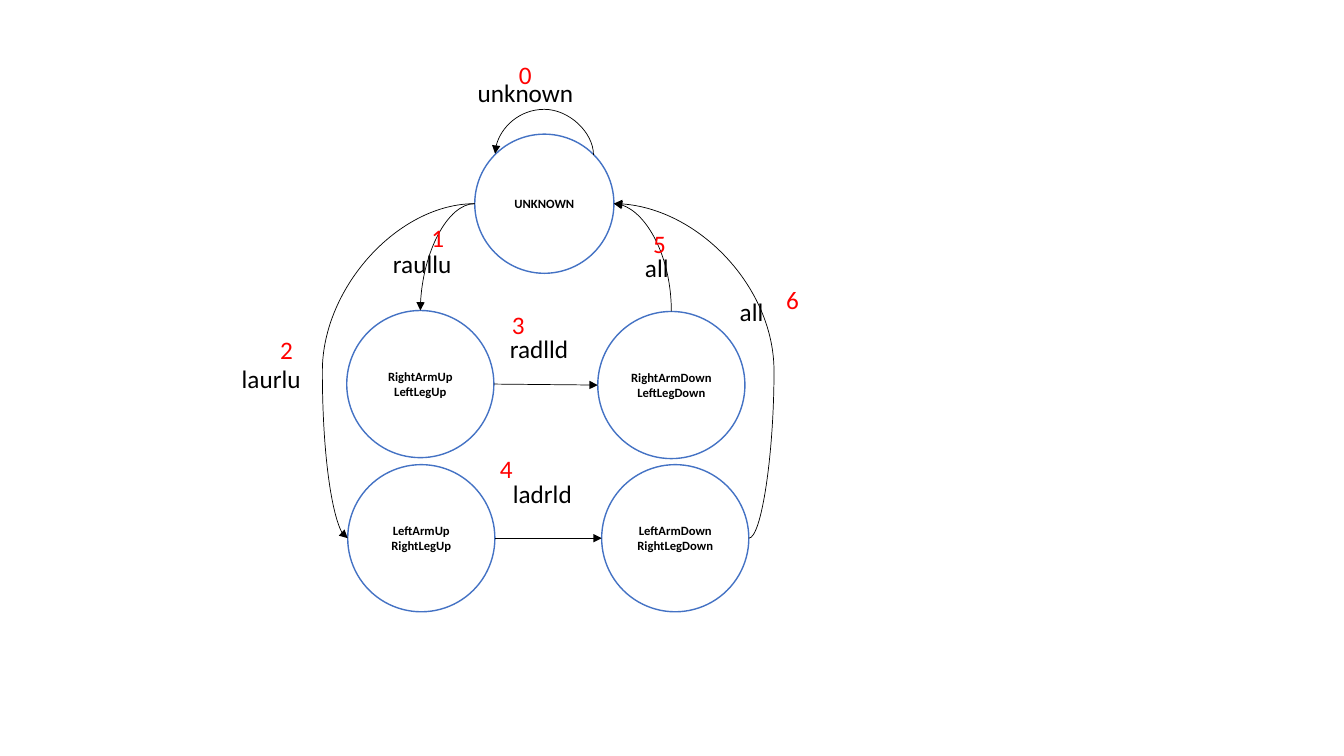
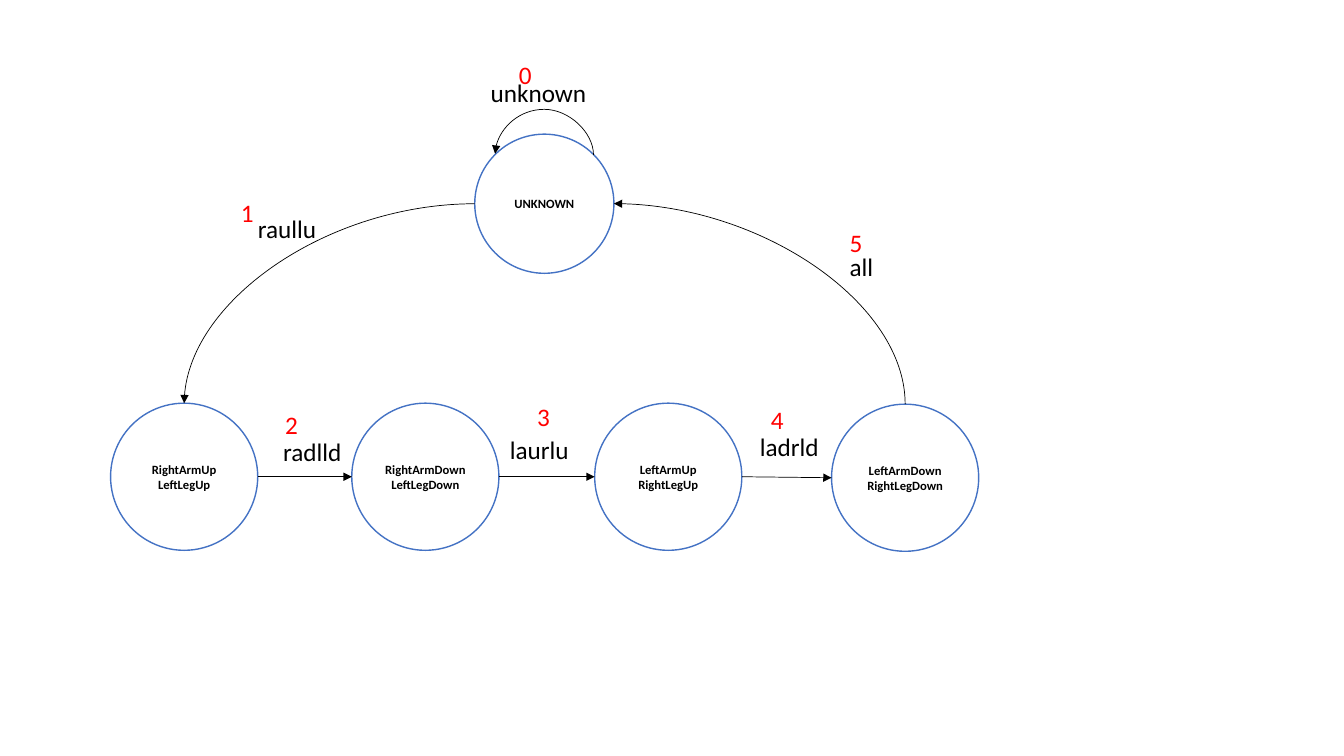
from math import cos, radians, sin

from lxml import etree
from pptx import Presentation
from pptx.dml.color import RGBColor
from pptx.enum.shapes import MSO_CONNECTOR, MSO_SHAPE
from pptx.enum.text import MSO_ANCHOR, MSO_AUTO_SIZE, PP_ALIGN
from pptx.oxml.ns import qn
from pptx.util import Pt

CIRCLE = MSO_SHAPE.FLOWCHART_CONNECTOR
STRAIGHT, CURVE = MSO_CONNECTOR.STRAIGHT, MSO_CONNECTOR.CURVE
MIDDLE, CENTER = MSO_ANCHOR.MIDDLE, PP_ALIGN.CENTER
GROW = MSO_AUTO_SIZE.SHAPE_TO_FIT_TEXT

WHITE, BLACK, RED, BLUE = "FFFFFF", "000000", "FF0000", "4472C4"
STATE_FONT = {"name": "Calibri", "size": Pt(9), "bold": True}
LABEL_FONT = {"name": "Calibri", "size": Pt(18)}
LABEL_HEIGHT, NUMBER_WIDTH = 28.8, 25.2
WORD_WIDTHS = {"unknown": 87.8, "raullu": 66.2, "radlld": 60.5,
               "laurlu": 62.6, "ladrld": 70.6, "all": 37.4}

TOP, TOP_LEFT, LEFT, RIGHT, TOP_RIGHT = 0, 1, 2, 6, 7
ORIENTATIONS = {
    LEFT: {"rot": "10800000", "flipV": "1"},
    RIGHT: {"flipH": "1", "flipV": "1"},
    TOP: {"rot": "16200000", "flipV": "1"},
    TOP_RIGHT: {"rot": "16200000", "flipV": "1"},
}

START, RIGHT_UP, RIGHT_DOWN, LEFT_UP, LEFT_DOWN = STATES = (
    "UNKNOWN",
    "RightArmUp\nLeftLegUp",
    "RightArmDown\nLeftLegDown",
    "LeftArmUp\nRightLegUp",
    "LeftArmDown\nRightLegDown",
)
DIAMETERS = dict.fromkeys(STATES, 105.1) | {START: 99.4}
START_PLACE = (339.1, 95.8)
LOOP = (START, TOP_RIGHT, START, TOP_LEFT, 33)

DIAGRAMS = [
    {
        "places": [START_PLACE, (247.7, 221.8), (427, 222.5), (248.4, 331.9), (429.8, 331.9)],
        "arrows": [(RIGHT_UP, RIGHT_DOWN), (LEFT_UP, LEFT_DOWN)],
        "curves": [
            LOOP,
            (START, LEFT, RIGHT_UP, TOP, None),
            (START, LEFT, LEFT_UP, LEFT, 108.8),
            (RIGHT_DOWN, TOP, START, RIGHT, None),
            (LEFT_DOWN, RIGHT, START, RIGHT, -18),
        ],
        "labels": [
            ("unknown", (334.1, 51.8), (363.6, 38.9)),
            ("raullu", (273.6, 174.2), (301, 155.5)),
            ("laurlu", (165.6, 256.3), (193, 235.4)),
            ("radlld", (357.1, 234.7), (358.6, 217.4)),
            ("ladrld", (359.3, 338.4), (349.9, 320.4)),
            ("all", (453.6, 176.4), (459.4, 159.8)),
            ("all", (521.3, 208.1), (554.4, 199.4)),
        ],
    },
    {
        "places": [START_PLACE, (79, 288), (251.3, 288), (424.8, 288), (594, 288.7)],
        "arrows": [(RIGHT_UP, RIGHT_DOWN), (RIGHT_DOWN, LEFT_UP), (LEFT_UP, LEFT_DOWN)],
        "curves": [
            LOOP,
            (START, LEFT, RIGHT_UP, TOP, None),
            (LEFT_DOWN, TOP, START, RIGHT, None),
        ],
        "labels": [
            ("unknown", (343.4, 51.8), (363.6, 38.9)),
            ("raullu", (177.1, 149), (164.9, 137.5)),
            ("radlld", (195.1, 308.2), (196.6, 288.7)),
            ("laurlu", (357.1, 306.7), (376.6, 283)),
            ("ladrld", (535.7, 304.6), (543.6, 285.1)),
            ("all", (599.8, 175.7), (599.8, 159.1)),
        ],
    },
]


def color(value):
    return RGBColor.from_string(value)


def write(shape, text, font, text_color):
    shape.text_frame.text = text
    for paragraph in shape.text_frame.paragraphs:
        for run in paragraph.runs:
            for name, value in font.items():
                setattr(run.font, name, value)
            run.font.color.rgb = color(text_color)


def add_state(slide, text, place):
    diameter = Pt(DIAMETERS[text])
    shape = slide.shapes.add_shape(CIRCLE, Pt(place[0]), Pt(place[1]), diameter, diameter)
    shape.shadow.inherit = False
    shape.fill.solid()
    shape.fill.fore_color.rgb = color(WHITE)
    shape.line.color.rgb = color(BLUE)
    shape.line.width = Pt(1)
    write(shape, text, STATE_FONT, BLACK)
    shape.text_frame.vertical_anchor = MIDDLE
    for paragraph in shape.text_frame.paragraphs:
        paragraph.alignment = CENTER
    return shape


def site_point(shape, site):
    angle = radians(90 + 45 * site)
    radius = shape.width / 2
    return (round(shape.left + radius + radius * cos(angle)),
            round(shape.top + radius - radius * sin(angle)))


def add_link(slide, kind, source, source_site, target, target_site):
    start, end = site_point(source, source_site), site_point(target, target_site)
    connector = slide.shapes.add_connector(kind, *start, *end)
    connector.line.color.rgb = color(BLACK)
    connector.line.width = Pt(0.5)
    etree.SubElement(connector.line._get_or_add_ln(), qn("a:tailEnd"), type="triangle")
    etree.SubElement(connector._element.spPr, qn("a:effectLst"))
    glue = connector._element.nvCxnSpPr.cNvCxnSpPr
    for tag, shape, site in (("a:stCxn", source, source_site), ("a:endCxn", target, target_site)):
        etree.SubElement(glue, qn(tag), id=str(shape.shape_id), idx=str(site))
    return connector


def add_curve(slide, source, source_site, target, target_site, bulge):
    connector = add_link(slide, CURVE, source, source_site, target, target_site)
    center_x = connector.left + connector.width // 2
    center_y = connector.top + connector.height // 2
    width, height = connector.width, connector.height
    if source_site in (TOP, TOP_RIGHT):
        width, height = height, width
    width = max(width, Pt(1))
    connector.left, connector.top = center_x - width // 2, center_y - height // 2
    connector.width, connector.height = width, height

    properties = connector._element.spPr
    transform = properties.find(qn("a:xfrm"))
    transform.attrib.clear()
    for name, value in ORIENTATIONS[source_site].items():
        transform.set(name, value)
    geometry = properties.find(qn("a:prstGeom"))
    geometry.set("prst", "curvedConnector2" if bulge is None else "curvedConnector3")
    if bulge is not None:
        adjustment = round(Pt(bulge) / width * 100000)
        etree.SubElement(geometry.find(qn("a:avLst")), qn("a:gd"),
                         name="adj1", fmla=f"val {adjustment}")


def add_label(slide, text, place, width, text_color):
    box = slide.shapes.add_textbox(Pt(place[0]), Pt(place[1]), Pt(width), Pt(LABEL_HEIGHT))
    box.text_frame.word_wrap = True
    box.text_frame.auto_size = GROW
    write(box, text, LABEL_FONT, text_color)


def add_diagram(slide, diagram):
    states = {text: add_state(slide, text, place)
              for text, place in zip(STATES, diagram["places"])}
    for source, target in diagram["arrows"]:
        add_link(slide, STRAIGHT, states[source], RIGHT, states[target], LEFT)
    for source, source_site, target, target_site, bulge in diagram["curves"]:
        add_curve(slide, states[source], source_site, states[target], target_site, bulge)
    for number, (word, word_place, number_place) in enumerate(diagram["labels"]):
        add_label(slide, word, word_place, WORD_WIDTHS[word], BLACK)
        add_label(slide, str(number), number_place, NUMBER_WIDTH, RED)


def main():
    presentation = Presentation()
    presentation.slide_width, presentation.slide_height = Pt(960), Pt(540)
    blank = presentation.slide_layouts[6]
    for diagram in DIAGRAMS:
        add_diagram(presentation.slides.add_slide(blank), diagram)
    presentation.save("out.pptx")


if __name__ == "__main__":
    main()
